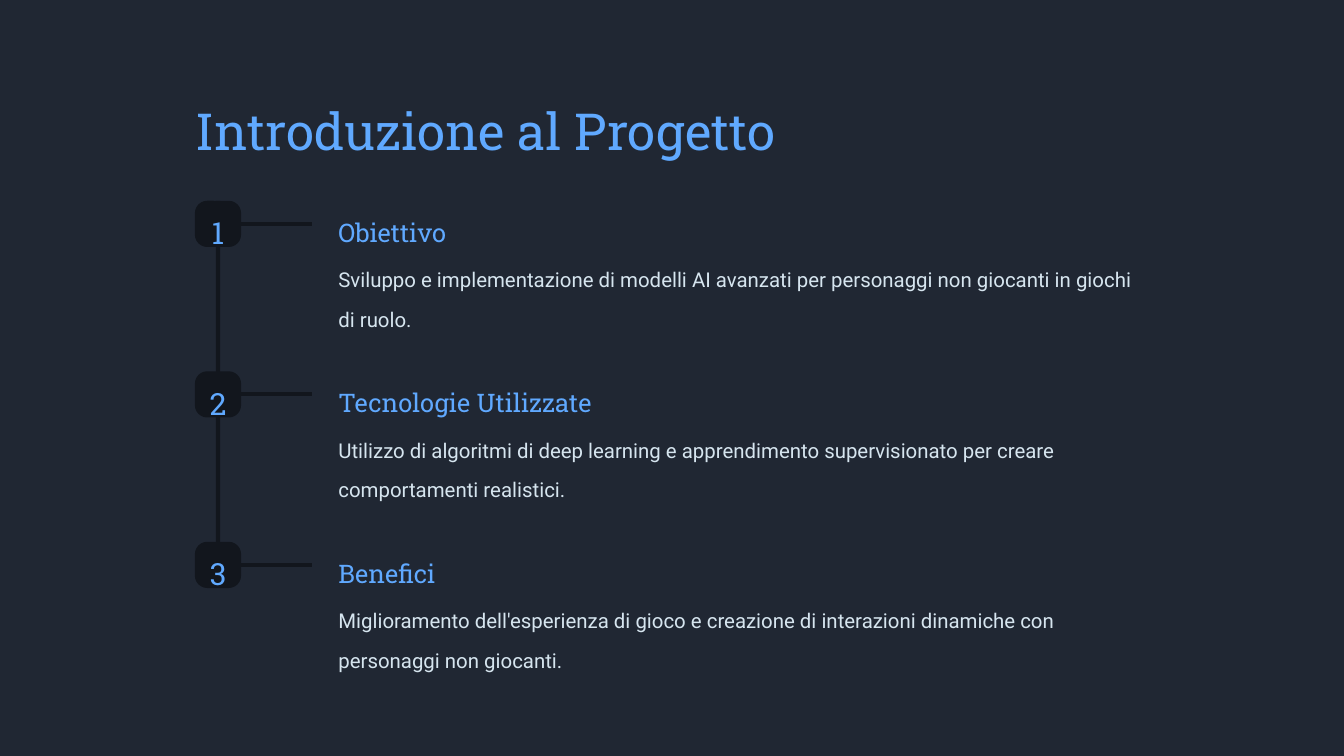
from lxml.etree import SubElement
from pptx import Presentation
from pptx.dml.color import RGBColor
from pptx.enum.shapes import MSO_CONNECTOR as LINE, MSO_SHAPE as SHAPE
from pptx.enum.text import PP_ALIGN as ALIGN
from pptx.oxml.ns import qn
from pptx.util import Inches, Pt

NIGHT = RGBColor(0x20, 0x27, 0x33)
DARK = RGBColor(0x12, 0x16, 0x1D)
BLUE = RGBColor(0x60, 0xA9, 0xFF)
PALE = RGBColor(0xD6, 0xE5, 0xEF)
SLAB, SANS = "Roboto Slab", "Roboto"

COLS, ROWS = 16, 9
LEFT, TOP, WIDE, PITCH = 2.32, 2.39, 11.45, 2.03
TILE, STUB, INDENT, BAR = 0.55, 0.85, 1.61, 0.05

STEPS = [
    ("Obiettivo",
     "Sviluppo e implementazione di modelli AI avanzati per personaggi "
     "non giocanti in giochi di ruolo."),
    ("Tecnologie Utilizzate",
     "Utilizzo di algoritmi di deep learning e apprendimento supervisionato "
     "per creare comportamenti realistici."),
    ("Benefici",
     "Miglioramento dell'esperienza di gioco e creazione di interazioni "
     "dinamiche con personaggi non giocanti."),
]


def write(slide, text, box, size, font=SLAB, color=BLUE, align=ALIGN.LEFT, space=1.25):
    """Place one paragraph of text in a box given in grid cells."""
    frame = slide.shapes.add_textbox(*map(Inches, box)).text_frame
    frame.word_wrap = True
    para = frame.paragraphs[0]
    para.text, para.alignment, para.line_spacing = text, align, space
    face = para.runs[0].font
    face.name, face.size, face.color.rgb = font, Pt(size), color


def block(slide, kind, box, color):
    """Add a plain filled shape in a box given in grid cells."""
    shape = slide.shapes.add_shape(kind, *map(Inches, box))
    shape.shadow.inherit = False
    shape.fill.solid()
    shape.fill.fore_color.rgb = color
    shape.line.fill.background()
    return shape


def stub(slide, tile, end):
    """Draw a bar from the right side of a tile to a point."""
    bar = slide.shapes.add_connector(LINE.STRAIGHT, 0, 0, *map(Inches, end))
    bar.begin_connect(tile, 3)
    bar.line.color.rgb, bar.line.width = DARK, Inches(BAR)
    SubElement(bar._element.spPr, qn("a:effectLst"))


def step(slide, number, head, body, box):
    """Build one numbered step inside its box."""
    left, top, width, height = box
    tile = block(slide, SHAPE.ROUNDED_RECTANGLE, (left, top, TILE, TILE), DARK)
    tile.adjustments[0] = 0.267
    stub(slide, tile, (left + TILE + STUB, top + TILE / 2))
    write(slide, str(number), (left - 0.2, top, TILE + 0.4, 0.46),
          26.2, align=ALIGN.CENTER)
    inner, span = left + INDENT, width - INDENT
    write(slide, head, (inner, top + 0.05, span / 2, 0.38), 21.9)
    write(slide, body, (inner, top + 0.57, span, 0.78), 17.5,
          font=SANS, color=PALE, space=1.6)


def steps(slide, box):
    """Stack the steps in equal rows along a spine."""
    left, top, width, height = box
    row = height / len(STEPS)
    block(slide, SHAPE.RECTANGLE,
          (left + (TILE - BAR) / 2, top, BAR, height - row + TILE), DARK)
    for i, (head, body) in enumerate(STEPS):
        step(slide, i + 1, head, body, (left, top + i * row, width, row))


def main():
    """Build and save the slide."""
    deck = Presentation()
    deck.slide_width, deck.slide_height = Inches(COLS), Inches(ROWS)
    slide = deck.slides.add_slide(deck.slide_layouts[6])
    block(slide, SHAPE.RECTANGLE, (0, 0, COLS, ROWS), NIGHT)
    write(slide, "Introduzione al Progetto", (LEFT - 0.09, 0.95, 10.04, 0.76), 43.7)
    steps(slide, (LEFT, TOP, WIDE, PITCH * len(STEPS)))
    deck.save("out.pptx")


if __name__ == "__main__":
    main()
